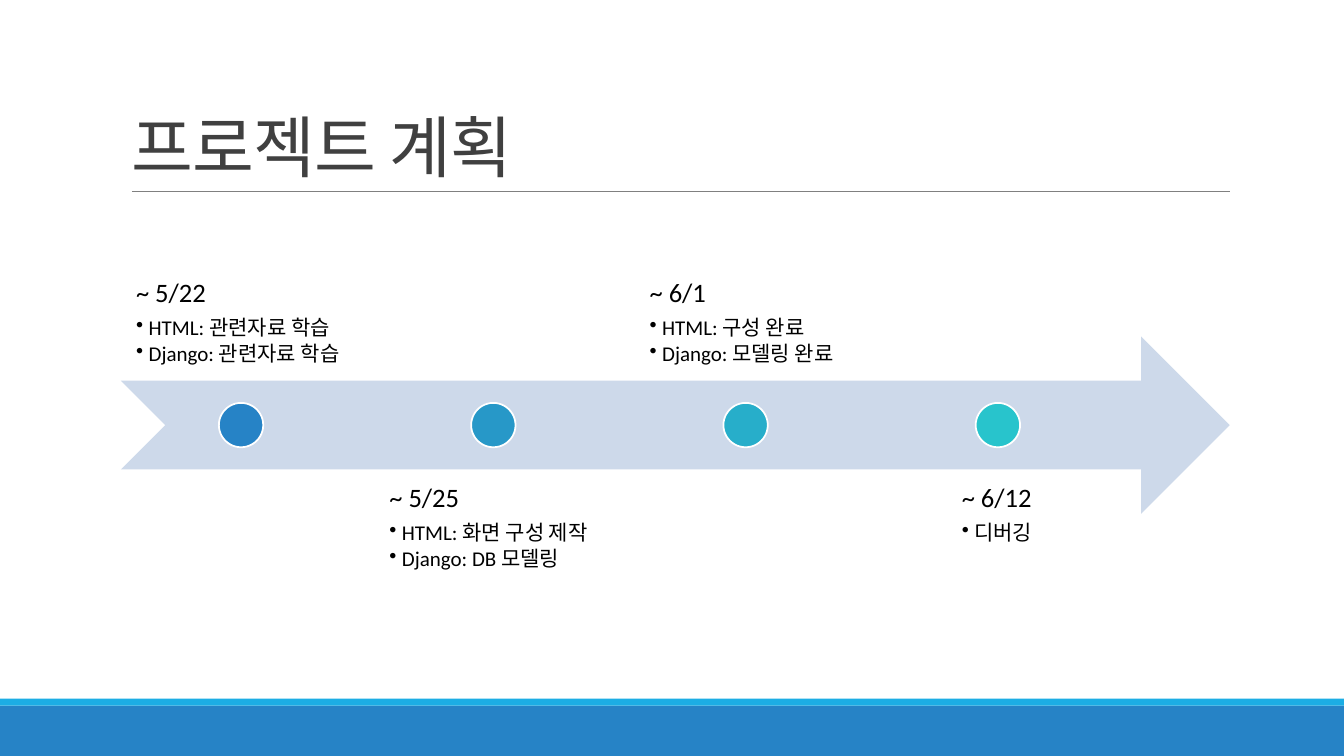
from lxml.etree import SubElement
from pptx import Presentation
from pptx.dml.color import RGBColor
from pptx.enum.shapes import MSO_CONNECTOR, MSO_SHAPE
from pptx.enum.text import MSO_ANCHOR, MSO_AUTO_SIZE, PP_ALIGN
from pptx.oxml.ns import qn
from pptx.util import Pt


def add_filled_shape(kind, left, top, width, height, color):
    shape = slide.shapes.add_shape(kind, Pt(left), Pt(top), Pt(width), Pt(height))
    shape.shadow.inherit = False
    shape.fill.solid()
    shape.fill.fore_color.rgb = RGBColor.from_string(color)
    shape.line.fill.background()
    return shape


def add_text_run(paragraph, text, size, color):
    run = paragraph.add_run()
    run.text = text
    run.font.name = "Calibri"
    run.font.size = Pt(size)
    run.font.color.rgb = RGBColor.from_string(color)
    return run


presentation = Presentation()
presentation.slide_width = Pt(960)
presentation.slide_height = Pt(540)
slide = presentation.slides.add_slide(presentation.slide_layouts[5])

# Footer bands and title rule
add_filled_shape(MSO_SHAPE.RECTANGLE, 0, 504, 960, 36, "2683C6")
add_filled_shape(MSO_SHAPE.RECTANGLE, 0, 499, 960, 5, "1CADE4")
title_rule = slide.shapes.add_connector(
    MSO_CONNECTOR.STRAIGHT, Pt(94.3), Pt(136.6), Pt(878.4), Pt(136.6))
title_rule.line.color.rgb = RGBColor.from_string("808080")
title_rule.line.width = Pt(0.5)
SubElement(title_rule._element.spPr, qn("a:effectLst"))

# Title
title = slide.shapes.title
title.left, title.top, title.width, title.height = Pt(86.4), Pt(22.3), Pt(792), Pt(114.5)
title.text_frame.auto_size = MSO_AUTO_SIZE.NONE
title.text_frame.vertical_anchor = MSO_ANCHOR.BOTTOM
paragraph = title.text_frame.paragraphs[0]
paragraph.alignment = PP_ALIGN.LEFT
paragraph.line_spacing = 0.85
title_run = add_text_run(paragraph, "프로젝트 계획", 48, "404040")
title_run.font._element.set("spc", "-50")

# Timeline
add_filled_shape(MSO_SHAPE.NOTCHED_RIGHT_ARROW, 86.4, 240.3, 792, 126.7, "CDD9EA")

# Date, tasks, marker colour, left inset that centres the text block on its marker
milestones = [
    ("~ 5/22", ["HTML: 관련자료 학습", "Django: 관련자료 학습"], "2683C6", 10.8),
    ("~ 5/25", ["HTML: 화면 구성 제작", "Django: DB 모델링"], "2798C8", 11.5),
    ("~ 6/1", ["HTML: 구성 완료", "Django: 모델링 완료"], "27AECA", 17.2),
    ("~ 6/12", ["디버깅"], "28C4CC", 60),
]
label_width, marker_size, step = 171.6, 31.7, 180.2

for index, (date, tasks, color, inset) in enumerate(milestones):
    above = index % 2 == 0
    left = 86.4 + index * step
    label = slide.shapes.add_textbox(
        Pt(left), Pt(145.4 if above else 335.5), Pt(label_width), Pt(126.7))
    frame = label.text_frame
    frame.word_wrap = True
    frame.vertical_anchor = MSO_ANCHOR.BOTTOM if above else MSO_ANCHOR.TOP
    frame.margin_left, frame.margin_right = Pt(inset), Pt(0)
    frame.margin_top = frame.margin_bottom = Pt(10.8)

    paragraph = frame.paragraphs[0]
    paragraph.line_spacing = 0.9
    paragraph.space_after = Pt(6.65)
    add_text_run(paragraph, date, 19, "000000")
    for task in tasks:
        paragraph = frame.add_paragraph()
        paragraph.level = 1
        paragraph.line_spacing = 0.9
        paragraph.space_after = Pt(2.25)
        properties = paragraph._p.get_or_add_pPr()
        properties.set("marL", str(Pt(9)))
        properties.set("indent", str(Pt(-9)))
        SubElement(properties, qn("a:buChar")).set("char", "•")
        add_text_run(paragraph, task, 15, "000000")

    marker = add_filled_shape(
        MSO_SHAPE.OVAL, left + (label_width - marker_size) / 2, 287.8,
        marker_size, marker_size, color)
    marker.line.color.rgb = RGBColor.from_string("FFFFFF")
    marker.line.width = Pt(1.25)

presentation.save("out.pptx")
